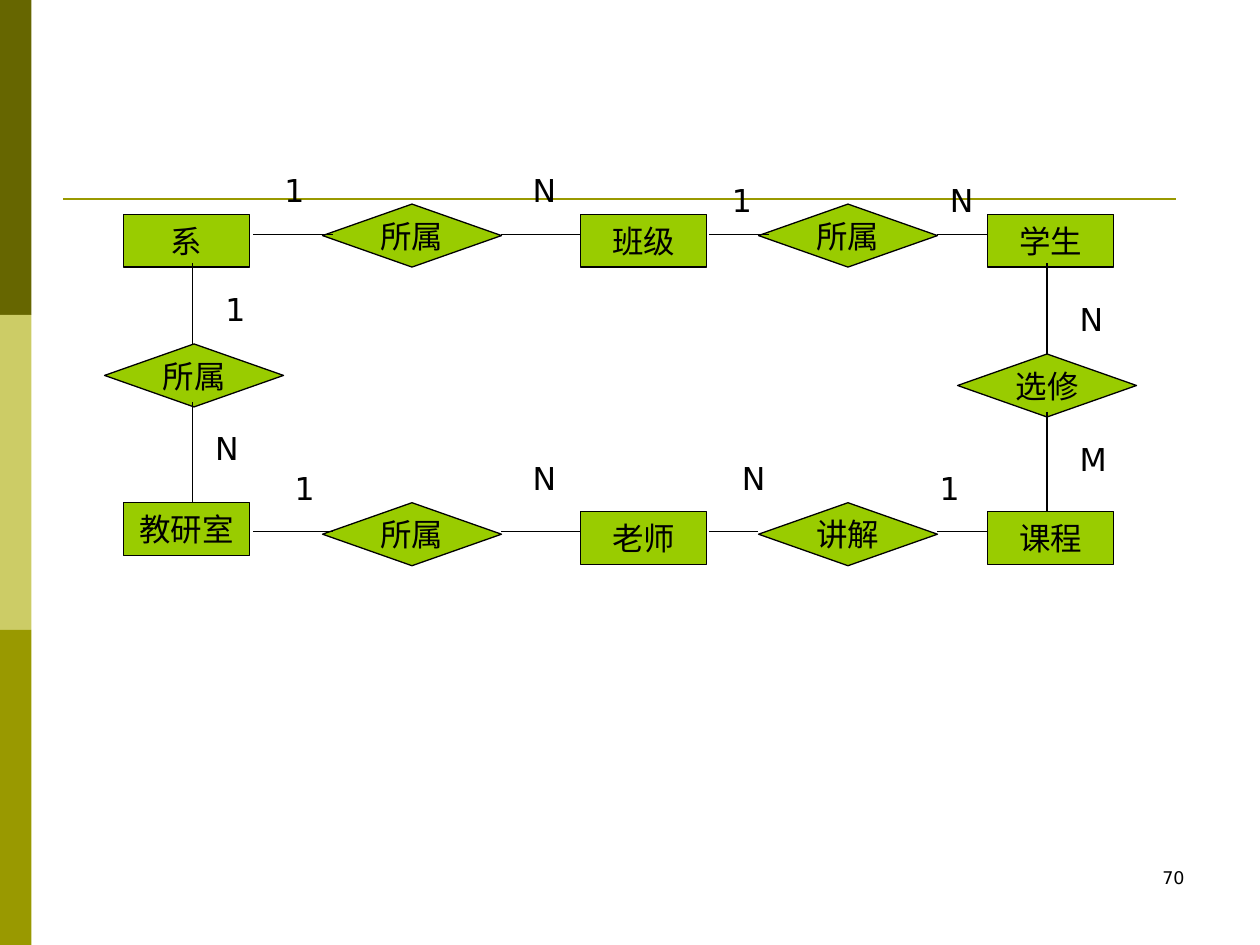
from lxml import etree
from pptx import Presentation
from pptx import util as u
from pptx.dml.color import RGBColor
from pptx.enum import shapes, text
from pptx.oxml import ns

FONT = "DejaVu Sans"
BLACK = "000000"
ENTITIES = [
    ("系", 0.15, 0.4), ("班级", 3.78, 0.4), ("学生", 7.01, 0.4),
    ("教研室", 0.15, 2.69), ("老师", 3.78, 2.76), ("课程", 7.01, 2.76),
]
RELATIONS = [
    ("所属", 1.73, 0.32), ("所属", 5.19, 0.32),
    ("所属", 0, 1.43), ("选修", 6.77, 1.51),
    ("所属", 1.73, 2.69), ("讲解", 5.19, 2.69),
]
TOP_LINKS = [(1.18, 1.81), (3.15, 3.78), (4.8, 5.27), (6.61, 7.01)]
BOTTOM_LINKS = [(1.18, 1.81), (3.15, 3.78), (4.8, 5.19), (6.61, 7.01)]
LEFT_LINKS = [(0.79, 1.43), (1.89, 2.69)]
RIGHT_LINKS = [(0.79, 1.51), (1.97, 2.76)]
CARDINALITIES = [
    ("1", 1.33, 0.01), ("N", 3.3, 0.01), ("1", 4.88, 0.09), ("N", 6.61, 0.09),
    ("1", 0.86, 0.95), ("N", 0.78, 2.06), ("N", 7.64, 1.03), ("M", 7.64, 2.14),
    ("1", 1.41, 2.37), ("N", 3.3, 2.29), ("N", 4.96, 2.29), ("1", 6.53, 2.37),
]
LABEL_WIDTHS = {"1": 0.26, "N": 0.27, "M": 0.42}


def colour(value):
    return RGBColor.from_string(value)


def write(shape, words, size, align, wrap):
    frame = shape.text_frame
    frame.word_wrap = wrap
    para = frame.paragraphs[0]
    para.alignment = align
    span = para.add_run()
    span.text = words
    span.font.size = u.Pt(size)
    span.font.name = FONT
    span.font.color.rgb = colour(BLACK)


def add_block(page, kind, box, fill, outline=None):
    block = page.shapes.add_shape(kind, *map(u.Inches, box))
    block.shadow.inherit = False
    block.fill.solid()
    block.fill.fore_color.rgb = colour(fill)
    if outline:
        block.line.color.rgb = colour(outline)
        block.line.width = u.Pt(0.75)
    else:
        block.line.fill.background()
    return block


def add_line(page, start, end, stroke=BLACK, width=0.75):
    line = page.shapes.add_connector(
        shapes.MSO_CONNECTOR.STRAIGHT, *map(u.Inches, (*start, *end)))
    line.line.color.rgb = colour(stroke)
    line.line.width = u.Pt(width)
    etree.SubElement(line._element.spPr, ns.qn("a:effectLst"))


def add_label(page, words, box, size, align):
    label = page.shapes.add_textbox(*map(u.Inches, box))
    write(label, words, size, align, True)


def add_frame(page, width, height):
    band = height / 3
    for row, fill in enumerate(("666600", "CCCC66", "999900")):
        add_block(page, shapes.MSO_SHAPE.RECTANGLE,
                  (0, row * band, 0.25, band), fill)
    add_line(page, (0.5, 1.58), (width - 0.67, 1.58), "999900", 1.5)
    add_label(page, "70", (width - 2.83, height - 0.67, 2.33, 0.5),
              10, text.PP_ALIGN.RIGHT)


def add_diagram(page, left, top):
    def place(x, y):
        return left + x, top + y

    groups = [
        (shapes.MSO_SHAPE.RECTANGLE, (1, 0.42), ENTITIES),
        (shapes.MSO_SHAPE.FLOWCHART_DECISION, (1.42, 0.5), RELATIONS),
    ]
    for kind, size, nodes in groups:
        for words, x, y in nodes:
            node = add_block(page, kind, (*place(x, y), *size), "99CC00", BLACK)
            node.text_frame.vertical_anchor = text.MSO_ANCHOR.MIDDLE
            write(node, words, 18, text.PP_ALIGN.CENTER, False)
    for y, links in ((0.56, TOP_LINKS), (2.92, BOTTOM_LINKS)):
        for start, end in links:
            add_line(page, place(start, y), place(end, y))
    for x, links in ((0.7, LEFT_LINKS), (7.48, RIGHT_LINKS)):
        for start, end in links:
            add_line(page, place(x, start), place(x, end))
    for words, x, y in CARDINALITIES:
        add_label(page, words, (*place(x, y), LABEL_WIDTHS[words], 0.4),
                  18, text.PP_ALIGN.LEFT)


def main():
    deck = Presentation()
    deck.slide_width = u.Inches(10)
    deck.slide_height = u.Inches(7.5)
    page = deck.slides.add_slide(deck.slide_layouts[6])
    add_frame(page, 10, 7.5)
    add_diagram(page, 0.83, 1.3)
    deck.save("out.pptx")


if __name__ == "__main__":
    main()
